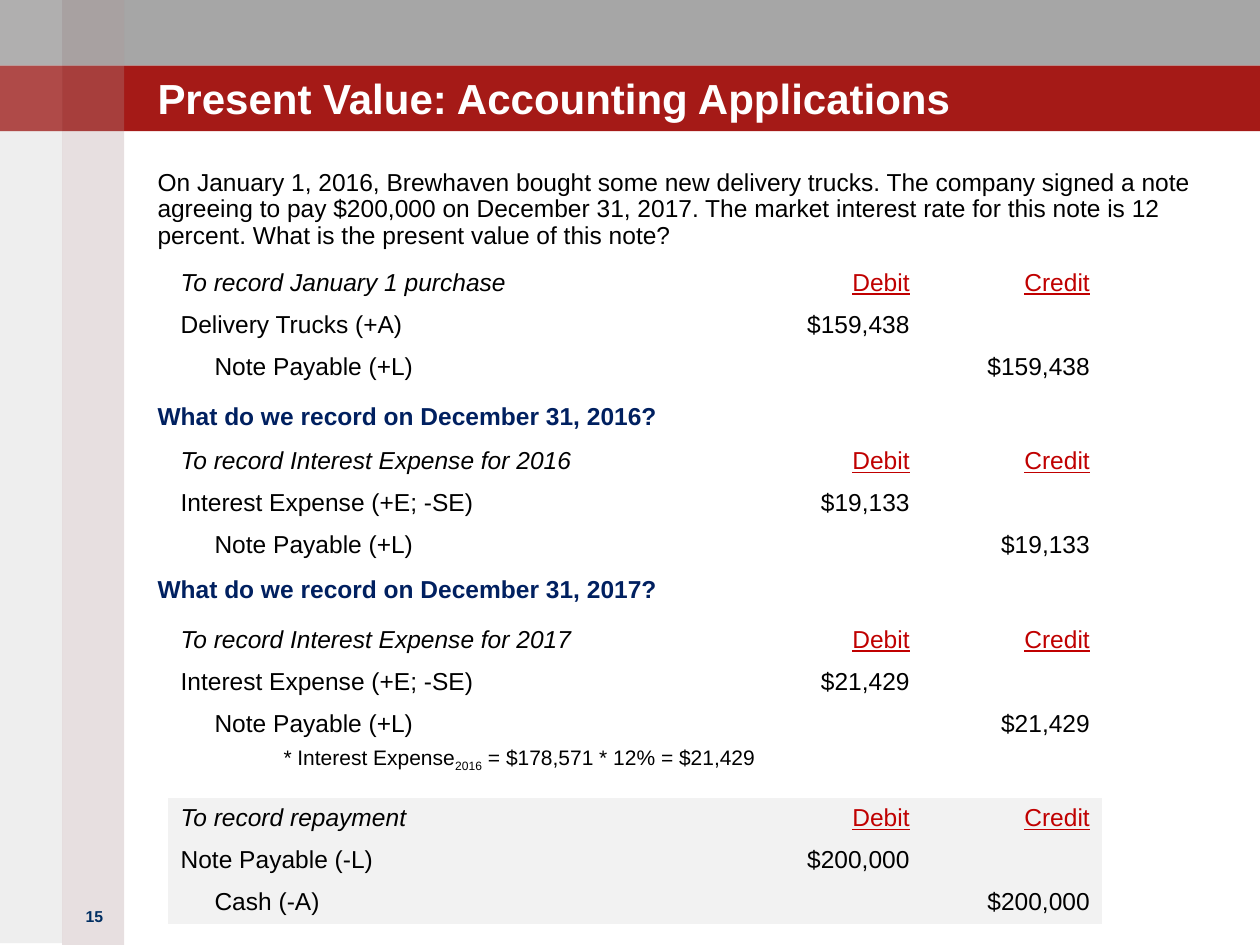
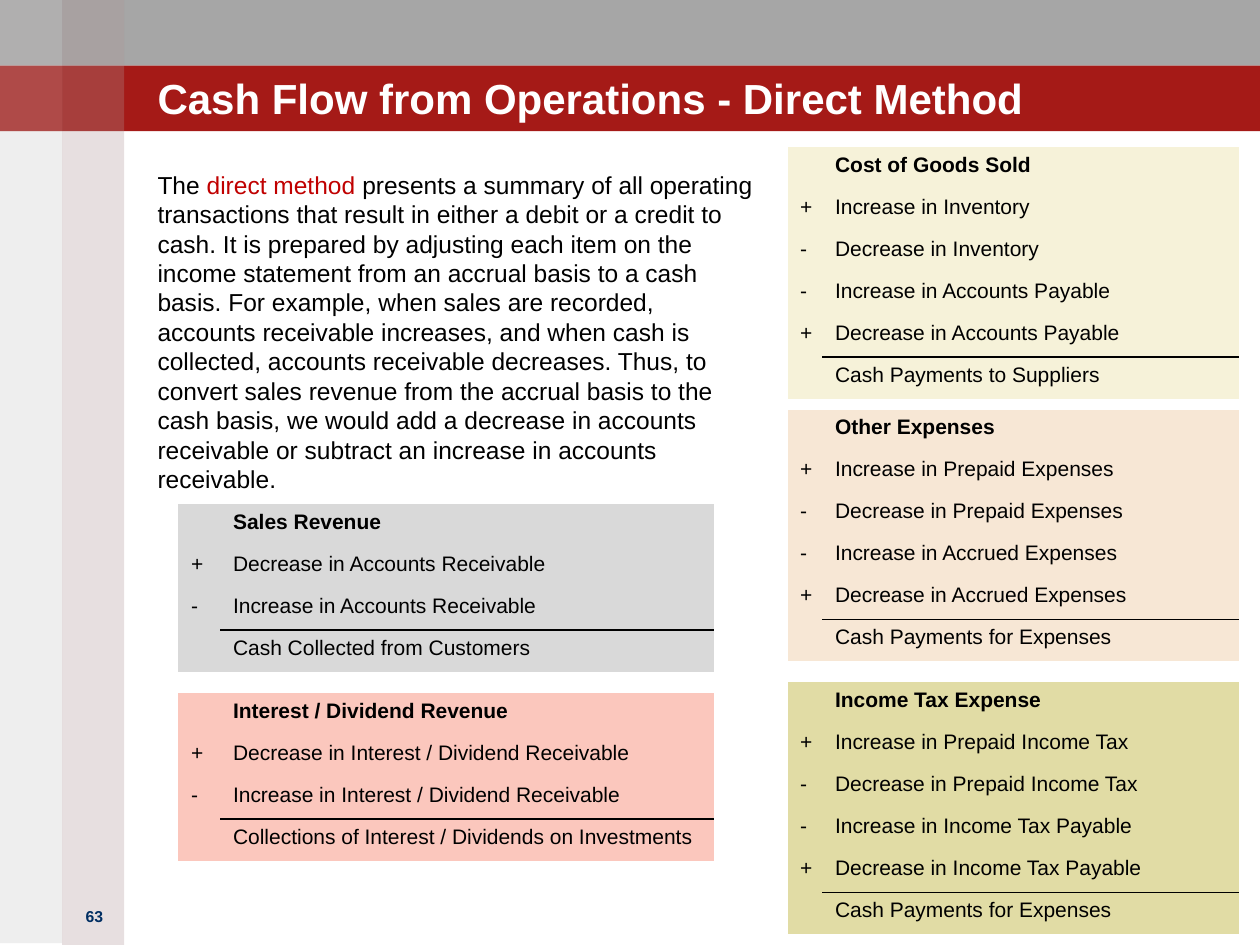
import pptx
import pptx.util
import pptx.dml.color
import pptx.enum.shapes
import pptx.enum.text
import pptx.oxml.ns
import lxml.etree

Pt = pptx.util.Pt
RGB = pptx.dml.color.RGBColor
qn = pptx.oxml.ns.qn
ALIGN = pptx.enum.text.PP_ALIGN
ANCHOR = pptx.enum.text.MSO_ANCHOR

FONT = "Arial"
PLAIN_TABLE = "{2D5ABB26-0587-4C30-8999-92F81FD0307C}"
COLORS = {
    "white": "FFFFFF",
    "black": "000000",
    "gray_band": "A6A6A6",
    "red_band": "A51A17",
    "side_left": "938F8F",
    "side_right": "A08284",
    "number": "002E62",
    "heading": "002060",
    "accent": "C00000",
    "repayment": "F2F2F2",
    "sales": "D9D9D9",
    "interest": "FBC7BD",
    "cogs": "F6F2D9",
    "expenses": "F7E7D5",
    "tax": "E1DCA5",
}


def add_run(p, text, size=14, color="black", bold=False, italic=False,
            underline=False, baseline=None):
    r = p.add_run()
    r.text = text
    f = r.font
    f.name, f.size = FONT, Pt(size)
    f.bold, f.italic, f.underline = bold, italic, underline
    f.color.rgb = RGB.from_string(COLORS[color])
    if baseline is not None:
        r._r.get_or_add_rPr().set("baseline", str(baseline))
    return r


class Deck:
    def __init__(self):
        self.prs = pptx.Presentation()
        self.prs.slide_width, self.prs.slide_height = Pt(720), Pt(540)
        self.layout = self.prs.slide_layouts[1]
        self.s = None

    def new_slide(self, title, number, title_width=600):
        first = self.s is None
        self.s = self.prs.slides.add_slide(self.layout)
        if first:
            self.add_bands()
        tf = self.place(self.s.shapes.title, 90, 22.3, title_width, 48)
        tf.vertical_anchor = ANCHOR.BOTTOM
        p = tf.paragraphs[0]
        p.alignment = ALIGN.LEFT
        add_run(p, title, size=24, color="white", bold=True)
        box = self.s.shapes.add_textbox(Pt(36), Pt(514.8), Pt(36), Pt(25))
        box.text_frame.word_wrap = True
        p = box.text_frame.paragraphs[0]
        p.alignment = ALIGN.CENTER
        add_run(p, number, size=9, color="number", bold=True)

    def add_bands(self):
        side, band = 35.5, 37.5
        bands = [
            self.rect(0, 0, 720, band, "gray_band"),
            self.rect(0, band, 720, band, "red_band"),
            self.rect(side, 0, side, 540, "side_right", 25),
            self.rect(0, 0, side, 539, "side_left", 15),
        ]
        for y in (0, band):
            bands.append(self.rect(side, y, side, band, "white", 5))
            bands.append(self.rect(0, y, side, band, "white", 15))
        for i, sp in enumerate(bands):
            self.layout.shapes._spTree.insert(2 + i, sp._element)

    def rect(self, x, y, w, h, color, opacity=100):
        sp = self.s.shapes.add_shape(
            pptx.enum.shapes.MSO_SHAPE.RECTANGLE, Pt(x), Pt(y), Pt(w), Pt(h))
        sp.shadow.inherit = False
        sp.line.fill.background()
        sp.fill.solid()
        sp.fill.fore_color.rgb = RGB.from_string(COLORS[color])
        if opacity < 100:
            clr = sp._element.spPr.find(".//" + qn("a:srgbClr"))
            lxml.etree.SubElement(clr, qn("a:alpha")).set("val", str(opacity * 1000))
        return sp

    def place(self, sp, x, y, w, h):
        sp.left, sp.top, sp.width, sp.height = Pt(x), Pt(y), Pt(w), Pt(h)
        tf = sp.text_frame
        tf.word_wrap = True
        tf.auto_size = pptx.enum.text.MSO_AUTO_SIZE.NONE
        tf.margin_left = tf.margin_right = tf.margin_top = tf.margin_bottom = 0
        return tf

    def body(self, width, height, paragraphs):
        tf = self.place(self.s.placeholders[1], 90, 97, width, height)
        for i, (before, spacing, indent, runs) in enumerate(paragraphs):
            p = tf.add_paragraph() if i else tf.paragraphs[0]
            pPr = p._p.get_or_add_pPr()
            pPr.set("marL", str(Pt(indent)))
            pPr.set("indent", "0")
            lxml.etree.SubElement(pPr, qn("a:buNone"))
            p.alignment = ALIGN.LEFT
            p.space_before, p.space_after = Pt(before), Pt(0)
            p.line_spacing = spacing
            for text, fmt in runs:
                add_run(p, text, **fmt)

    def table(self, x, y, widths, row_height, rows, fill=None):
        frame = self.s.shapes.add_table(
            len(rows), len(widths), Pt(x), Pt(y),
            Pt(sum(widths)), Pt(row_height * len(rows)))
        tbl = frame.table
        tbl.first_row = tbl.horz_banding = False
        tbl._tbl.tblPr.find(qn("a:tableStyleId")).text = PLAIN_TABLE
        for col, w in zip(tbl.columns, widths):
            col.width = Pt(w)
        for row, values in zip(tbl.rows, rows):
            row.height = Pt(row_height)
            for cell, (text, fmt) in zip(row.cells, values):
                if fill:
                    cell.fill.solid()
                    cell.fill.fore_color.rgb = RGB.from_string(COLORS[fill])
                else:
                    cell.fill.background()
                p = cell.text_frame.paragraphs[0]
                if text:
                    add_run(p, text, **fmt)
                else:
                    end = lxml.etree.SubElement(p._p, qn("a:endParaRPr"))
                    end.set("sz", "1200")
        return tbl

    def border(self, cell, side):
        ln = lxml.etree.Element(qn("a:ln" + side), w=str(Pt(1)))
        fill = lxml.etree.SubElement(ln, qn("a:solidFill"))
        lxml.etree.SubElement(fill, qn("a:srgbClr")).set("val", COLORS["black"])
        cell._tc.get_or_add_tcPr().insert(0, ln)

    def journal_entry(self, y, caption, debit, credit, amount, fill=None):
        head = {"color": "accent", "underline": True}
        rows = [
            [(caption, {"italic": True}), ("Debit", head), ("Credit", head)],
            [(debit, {}), (amount, {}), ("", {})],
            [(credit, {}), ("", {}), (amount, {})],
        ]
        tbl = self.table(96, y, (336, 95, 103), 23, rows, fill)
        tbl.cell(2, 0).margin_left = Pt(26.6)
        for row in tbl.rows:
            for cell in list(row.cells)[1:]:
                cell.text_frame.paragraphs[0].alignment = ALIGN.RIGHT

    def adjustments(self, x, y, widths, fill, heading, signs, items, total):
        small = {"size": 12}
        rows = [[("", {}), (heading, {"size": 12, "bold": True})]]
        rows += [[(sign, small), (item, small)] for sign, item in zip(signs, items)]
        rows.append([("", {}), (total, small)])
        tbl = self.table(x, y, widths, 24, rows, fill)
        self.border(tbl.cell(len(rows) - 2, 1), "B")
        self.border(tbl.cell(len(rows) - 1, 1), "T")


def present_value(deck):
    deck.new_slide("Present Value: Accounting Applications", "15")
    heading = {"color": "heading", "bold": True}
    note = {"size": 12}
    deck.body(600, 426, [
        (0, Pt(15.1), 0, [(
            "On January 1, 2016, Brewhaven bought some new delivery trucks. The company "
            "signed a note agreeing to pay $200,000 on December 31, 2017. The market "
            "interest rate for this note is 12 percent. What is the present value of "
            "this note?", {})]),
        (87, 1.0, 0, [("What do we record on December 31, 2016?", heading)]),
        (82, 1.0, 0, [("What do we record on December 31, 2017?", heading)]),
        (80.5, 1.0, 72, [
            ("* Interest Expense", note),
            ("2016", {"size": 12, "baseline": -25000}),
            (" = $178,571 * 12% = $21,429", note)]),
    ])
    interest, payable = "Interest Expense (+E; -SE)", "Note Payable (+L)"
    entries = [
        ("To record January 1 purchase", "Delivery Trucks (+A)", payable, "$159,438"),
        ("To record Interest Expense for 2016", interest, payable, "$19,133"),
        ("To record Interest Expense for 2017", interest, payable, "$21,429"),
        ("To record repayment", "Note Payable (-L)", "Cash (-A)", "$200,000", "repayment"),
    ]
    for i, entry in enumerate(entries):
        deck.journal_entry(150 + 102 * i, *entry)


def direct_method(deck):
    deck.new_slide("Cash Flow from Operations - Direct Method", "63", 522)
    deck.body(342, 396, [(0, Pt(16.8), 0, [
        ("The ", {}),
        ("direct method ", {"color": "accent"}),
        ("presents a summary of all operating transactions that result in either a debit "
         "or a credit to cash. It is prepared by adjusting each item on the income "
         "statement from an accrual basis to a cash basis. For example, when sales are "
         "recorded, accounts receivable increases, and when cash is collected, accounts "
         "receivable decreases. Thus, to convert sales revenue from the accrual basis to "
         "the cash basis, we would add a decrease in accounts receivable or subtract an "
         "increase in accounts receivable.", {}),
    ])])
    revenues = [
        (288, "sales", "Sales Revenue", "+-",
         ["Decrease in Accounts Receivable", "Increase in Accounts Receivable"],
         "Cash Collected from Customers"),
        (396, "interest", "Interest / Dividend Revenue", "+-",
         ["Decrease in Interest / Dividend Receivable",
          "Increase in Interest / Dividend Receivable"],
         "Collections of Interest / Dividends on Investments"),
    ]
    costs = [
        (84, "cogs", "Cost of Goods Sold", "+--+",
         ["Increase in Inventory", "Decrease in Inventory",
          "Increase in Accounts Payable", "Decrease in Accounts Payable"],
         "Cash Payments to Suppliers"),
        (234, "expenses", "Other Expenses", "+--+",
         ["Increase in Prepaid Expenses", "Decrease in Prepaid Expenses",
          "Increase in Accrued Expenses", "Decrease in Accrued Expenses"],
         "Cash Payments for Expenses"),
        (390, "tax", "Income Tax Expense", "+--+",
         ["Increase in Prepaid Income Tax", "Decrease in Prepaid Income Tax",
          "Increase in Income Tax Payable", "Decrease in Income Tax Payable"],
         "Cash Payments for Expenses"),
    ]
    for x, widths, group in ((102, (24, 282), revenues), (450, (20, 238), costs)):
        for y, *content in group:
            deck.adjustments(x, y, widths, *content)


def main():
    deck = Deck()
    present_value(deck)
    direct_method(deck)
    deck.prs.save("out.pptx")


if __name__ == "__main__":
    main()
